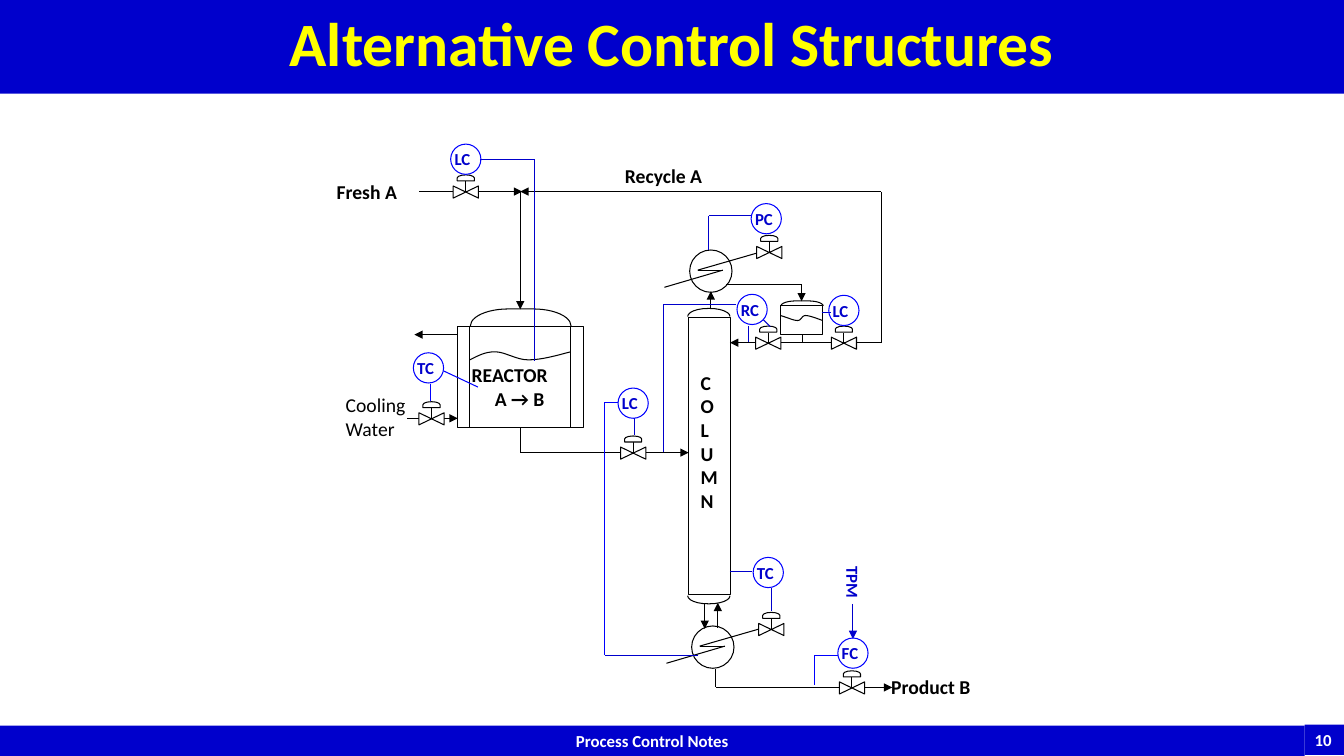
from dataclasses import dataclass

from pptx import Presentation
from pptx.dml.color import RGBColor
from pptx.enum.shapes import MSO_CONNECTOR, MSO_SHAPE
from pptx.enum.text import MSO_ANCHOR, MSO_AUTO_SIZE, PP_ALIGN
from pptx.oxml.ns import qn
from pptx.shapes.autoshape import Shape
from pptx.slide import Slide
from pptx.util import Emu, Pt

EMU_PER_PX = 9144
FONT = "Calibri"
BLACK, WHITE, YELLOW = "000000", "FFFFFF", "FFFF00"
NAVY, BLUE = "0000CC", "0000FF"
RECT, OVAL, DOME = MSO_SHAPE.RECTANGLE, MSO_SHAPE.OVAL, MSO_SHAPE.RIGHT_BRACKET
COLLATE, DELAY = MSO_SHAPE.FLOWCHART_COLLATE, MSO_SHAPE.FLOWCHART_DELAY
STRAIGHT = MSO_CONNECTOR.STRAIGHT
LEFT, CENTER = PP_ALIGN.LEFT, PP_ALIGN.CENTER
MIDDLE, TOP = MSO_ANCHOR.MIDDLE, MSO_ANCHOR.TOP
NO_AUTOFIT = MSO_AUTO_SIZE.NONE

Point = tuple[float, float]
Box = tuple[int, int, int, int]


@dataclass
class Line:
    points: list[Point]
    color: str = BLACK
    arrow: bool = False


@dataclass
class Label:
    text: str
    box: Box
    bold: bool = True
    size: int = 14
    color: str = BLACK
    rotation: int = 0


@dataclass
class Outline:
    kind: MSO_SHAPE
    box: Box
    rotation: int = 0
    bend: float = 0


@dataclass
class Instrument:
    code: str
    x: int
    y: int


PIPES = [
    Line([(404, 415), (454, 415)], arrow=True),
    Line([(453, 332), (411, 332)], arrow=True),
    Line([(516, 190), (516, 307)], arrow=True),
    Line([(416, 190), (518, 190)], arrow=True),
    Line([(874, 340), (874, 190), (516, 190)], arrow=True),
    Line([(516, 424), (516, 449), (683, 449)], arrow=True),
    Line([(705, 306), (705, 289)], arrow=True),
    Line([(699, 599), (699, 624)], arrow=True),
    Line([(712, 623), (712, 598)], arrow=True),
    Line([(720, 282), (795, 282), (795, 299)], arrow=True),
    Line([(796, 332), (796, 340)]),
    Line([(874, 340), (724, 340)], arrow=True),
    Line([(710, 664), (710, 682), (885, 682)], arrow=True),
]
SIGNALS = [
    Line([(474, 384), (440, 368)], BLUE),
    Line([(427, 381), (427, 398)], BLUE),
    Line([(703, 248), (703, 214), (745, 214)], NAVY),
    Line([(815, 310), (824, 310)], NAVY),
    Line([(742, 339), (742, 323)], NAVY),
    Line([(658, 448), (658, 302), (730, 302)], NAVY),
    Line([(757, 317), (764, 324)], NAVY),
    Line([(724, 567), (746, 567)], NAVY),
    Line([(765, 583), (765, 606)], NAVY),
    Line([(846, 599), (846, 634)], NAVY, True),
    Line([(831, 650), (808, 650), (808, 680)], BLUE),
    Line([(600, 650), (692, 650)], NAVY),
    Line([(613, 399), (600, 399), (600, 650)], BLUE),
    Line([(629, 415), (629, 432)], NAVY),
    Line([(476, 158), (530, 158), (530, 358)], NAVY),
]
VESSELS = [
    Outline(RECT, (466, 324, 100, 100)),
    Outline(DOME, (508, 265, 17, 100), 270, 2.2),
    Outline(RECT, (454, 324, 125, 100)),
    Outline(RECT, (683, 315, 42, 275)),
    Outline(DOME, (699, 289, 8, 42), 270, 2.5),
    Outline(DOME, (699, 574, 8, 42), 90, 2.5),
    Outline(RECT, (774, 303, 42, 29)),
    Outline(DOME, (793, 280, 5, 42), 270, 3),
]
LEVELS = [
    [(466, 357), (474, 353), (481, 349), (491, 349), (501, 349),
     (512, 357), (524, 357), (537, 357), (551, 353), (566, 349)],
    [(774, 313), (781, 315), (787, 318), (791, 318), (795, 318),
     (795, 313), (799, 313), (803, 313), (813, 317), (816, 318)],
]
EXCHANGERS = [(684, 248), (686, 621)]
VALVES = [(428, 415), (462, 190), (628, 449), (763, 250),
          (765, 624), (837, 340), (762, 340), (845, 682)]
INSTRUMENTS = [
    Instrument("TC", 410, 350), Instrument("PC", 745, 202),
    Instrument("LC", 822, 293), Instrument("RC", 731, 292),
    Instrument("TC", 747, 553), Instrument("FC", 831, 633),
    Instrument("LC", 613, 385), Instrument("LC", 447, 143),
]
LABELS = [
    Label("REACTOR", (458, 355, 96, 34)),
    Label("A → B", (481, 379, 71, 34)),
    Label("Cooling\nWater", (333, 385, 80, 57), bold=False),
    Label("Fresh A", (324, 174, 80, 34)),
    Label("Recycle A", (610, 158, 97, 34)),
    Label("\n".join("COLUMN"), (685, 363, 37, 151)),
    Label("Product B", (874, 665, 99, 34)),
    Label("TPM", (820, 563, 52, 30), size=12, color=NAVY, rotation=90),
]


def px(n: float) -> Emu:
    return Emu(round(n * EMU_PER_PX))


def rgb(color: str) -> RGBColor:
    return RGBColor.from_string(color)


def write(s: Shape, text: str, size: int, color: str, bold: bool = True,
          align: PP_ALIGN = LEFT, anchor: MSO_ANCHOR = TOP, wrap: bool = False) -> None:
    tf = s.text_frame
    tf.text, tf.word_wrap = text, wrap
    tf.auto_size, tf.vertical_anchor = NO_AUTOFIT, anchor
    for p in tf.paragraphs:
        p.alignment = align
        p.font.name, p.font.size, p.font.bold = FONT, Pt(size), bold
        p.font.color.rgb = rgb(color)


def add_outline(slide: Slide, o: Outline, line: str | None = BLACK, fill: str | None = None) -> Shape:
    s = slide.shapes.add_shape(o.kind, *map(px, o.box))
    s.rotation = o.rotation
    if o.bend:
        s.adjustments[0] = o.bend
    return style(s, line, fill)


def style(s: Shape, line: str | None, fill: str | None) -> Shape:
    s.shadow.inherit = False
    if fill:
        s.fill.solid()
        s.fill.fore_color.rgb = rgb(fill)
    else:
        s.fill.background()
    if line:
        s.line.color.rgb, s.line.width = rgb(line), Pt(0.75)
    else:
        s.line.fill.background()
    return s


def add_line(slide: Slide, line: Line) -> None:
    last = len(line.points) - 2
    for i, (start, end) in enumerate(zip(line.points, line.points[1:])):
        c = slide.shapes.add_connector(STRAIGHT, *map(px, start + end))
        c.line.color.rgb, c.line.width = rgb(line.color), Pt(0.75)
        sp_pr = c._element.spPr
        if line.arrow and i == last:
            ln = sp_pr.find(qn("a:ln"))
            ln.append(ln.makeelement(qn("a:tailEnd"), {"type": "triangle"}))
        sp_pr.append(sp_pr.makeelement(qn("a:effectLst"), {}))


def add_level(slide: Slide, nodes: list[Point], steps: int = 8) -> None:
    curve = []
    for i in range(0, len(nodes) - 1, 3):
        for t in (k / steps for k in range(1, steps + 1)):
            weights = ((1 - t) ** 3, 3 * t * (1 - t) ** 2, 3 * t * t * (1 - t), t ** 3)
            curve.append(tuple(px(sum(w * n[axis] for w, n in zip(weights, nodes[i:i + 4])))
                               for axis in (0, 1)))
    builder = slide.shapes.build_freeform(*map(px, nodes[0]))
    builder.add_line_segments(curve, close=False)
    style(builder.convert_to_shape(), BLACK, None)


def add_exchanger(slide: Slide, x: int, y: int) -> None:
    add_outline(slide, Outline(OVAL, (x, y, 42, 42)))
    add_line(slide, Line([(x + 67, y + 3), (x + 8, y + 20), (x + 33, y + 20), (x - 25, y + 37)]))


def add_valve(slide: Slide, x: int, y: int) -> None:
    add_outline(slide, Outline(COLLATE, (x - 6, y - 12, 12, 25), 270), fill=WHITE)
    add_line(slide, Line([(x, y), (x, y - 10)]))
    add_outline(slide, Outline(DELAY, (x - 3, y - 22, 6, 17), 270), fill=WHITE)


def add_label(slide: Slide, label: Label) -> None:
    s = slide.shapes.add_textbox(*map(px, label.box))
    s.rotation = label.rotation
    write(s, label.text, label.size, label.color, label.bold)


def add_instrument(slide: Slide, i: Instrument) -> None:
    add_label(slide, Label(i.code, (i.x - 6, i.y, 37, 30), size=12, color=NAVY))
    add_outline(slide, Outline(OVAL, (i.x, i.y, 30, 30)), BLUE)


def main() -> None:
    prs = Presentation()
    prs.slide_width, prs.slide_height = px(1333), px(750)
    slide = prs.slides.add_slide(prs.slide_layouts[5])
    title = slide.shapes.title
    title.left, title.top, title.width, title.height = map(px, (0, 0, 1333, 93))
    title.fill.solid()
    title.fill.fore_color.rgb = rgb(NAVY)
    write(title, "Alternative Control Structures", 44, YELLOW, align=CENTER, anchor=MIDDLE, wrap=True)
    title.text_frame.paragraphs[0].line_spacing = 0.9
    footer = add_outline(slide, Outline(RECT, (0, 720, 1294, 30)), None, NAVY)
    write(footer, "Process Control Notes", 12, WHITE, align=CENTER, wrap=True)
    number = add_outline(slide, Outline(RECT, (1294, 719, 40, 30)), None, NAVY)
    write(number, "10", 12, WHITE)
    for vessel in VESSELS:
        add_outline(slide, vessel)
    for nodes in LEVELS:
        add_level(slide, nodes)
    for line in PIPES:
        add_line(slide, line)
    for x, y in EXCHANGERS:
        add_exchanger(slide, x, y)
    for x, y in VALVES:
        add_valve(slide, x, y)
    for label in LABELS:
        add_label(slide, label)
    for line in SIGNALS:
        add_line(slide, line)
    for instrument in INSTRUMENTS:
        add_instrument(slide, instrument)
    prs.save("out.pptx")


if __name__ == "__main__":
    main()
